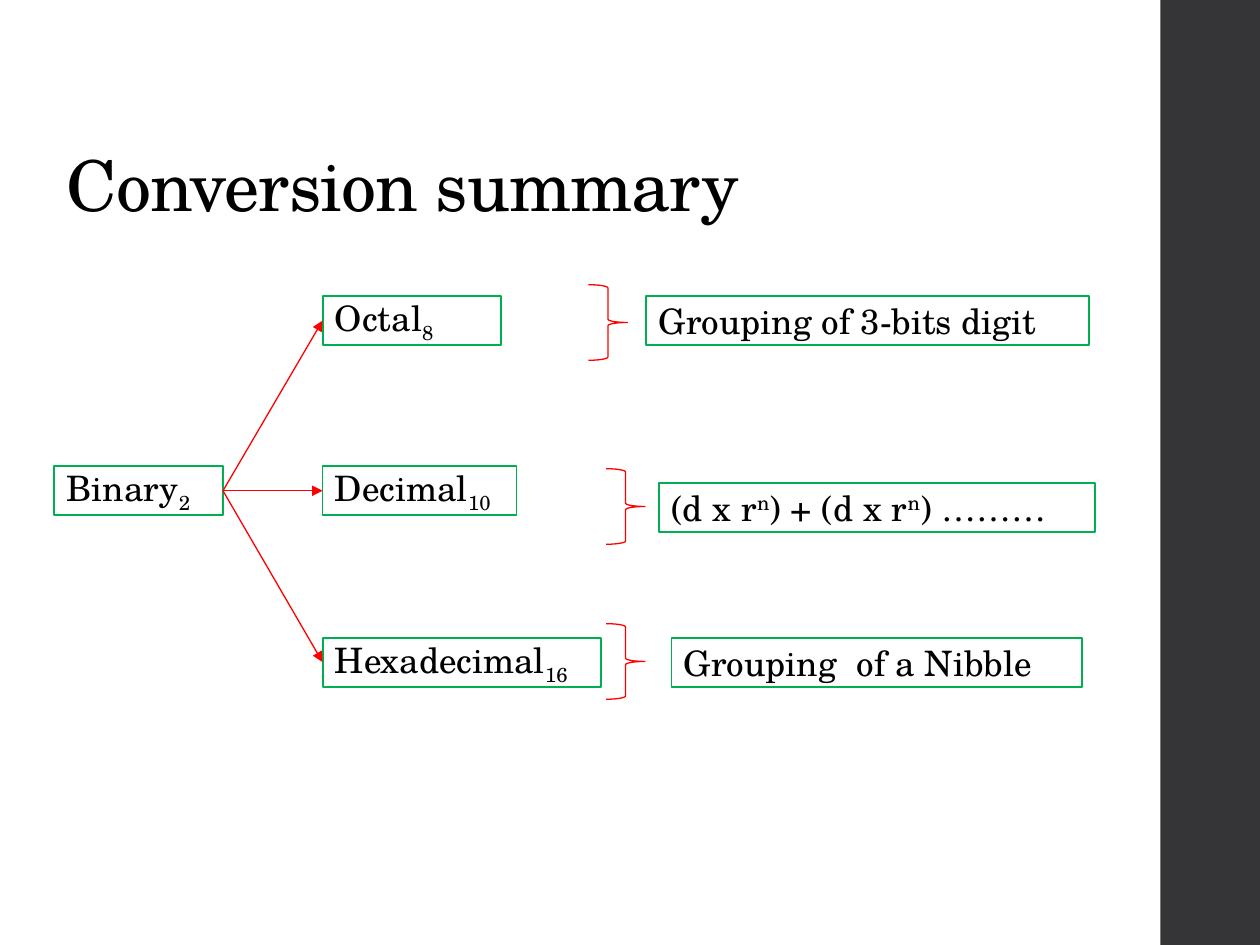
from typing import NamedTuple

import pptx
import pptx.dml.color
import pptx.enum.shapes
import pptx.enum.text
import pptx.oxml.ns
import pptx.util
from lxml import etree

Inches = pptx.util.Inches
Pt = pptx.util.Pt
MSO_SHAPE = pptx.enum.shapes.MSO_SHAPE
ANCHOR = pptx.enum.text.MSO_ANCHOR
ALIGN = pptx.enum.text.PP_ALIGN
qn = pptx.oxml.ns.qn

FONT = "TeX Gyre Schola"
BLACK, GREEN, RED, DARK = "000000", "00B050", "FF0000", "353537"
SUB, SUPER = -25, 30
BOX_H = 0.39
BRACE_W, BRACE_H = 0.31, 0.6


class Run(NamedTuple):
    text: str
    baseline: int = 0


class Box(NamedTuple):
    left: float
    top: float
    width: float
    runs: list[Run]

    @property
    def middle(self) -> float:
        return self.top + BOX_H / 2


class Conversion(NamedTuple):
    base: Box
    brace_left: float
    brace_top: float
    method: Box


def rgb(color: str) -> pptx.dml.color.RGBColor:
    return pptx.dml.color.RGBColor.from_string(color)


def style_font(p, size: float) -> None:
    p.font.name = FONT
    p.font.size = Pt(size)
    p.font.color.rgb = rgb(BLACK)


def add_outline(s, kind, left: float, top: float, width: float, height: float,
                color: str, weight: float):
    sp = s.shapes.add_shape(kind, Inches(left), Inches(top), Inches(width), Inches(height))
    sp.shadow.inherit = False
    sp.fill.background()
    sp.line.color.rgb = rgb(color)
    sp.line.width = Pt(weight)
    return sp


def add_box(s, box: Box) -> None:
    sp = add_outline(s, MSO_SHAPE.RECTANGLE, box.left, box.top, box.width, BOX_H, GREEN, 1.1)
    tf = sp.text_frame
    tf.word_wrap = True
    tf.vertical_anchor = ANCHOR.MIDDLE
    p = tf.paragraphs[0]
    p.alignment = ALIGN.LEFT
    style_font(p, 20)
    for text, baseline in box.runs:
        r = p.add_run()
        r.text = text
        r.font.color.rgb = rgb(BLACK)
        if baseline:
            r.font._element.set("baseline", str(baseline * 1000))


def add_arrow(s, start: Box, end: Box) -> None:
    line = s.shapes.add_connector(
        pptx.enum.shapes.MSO_CONNECTOR.STRAIGHT,
        Inches(start.left + start.width), Inches(start.middle),
        Inches(end.left), Inches(end.middle))
    line.line.color.rgb = rgb(RED)
    line.line.width = Pt(0.75)
    etree.SubElement(line.line._get_or_add_ln(), qn("a:tailEnd"), type="triangle")
    etree.SubElement(line._element.spPr, qn("a:effectLst"))


BINARY = Box(0.43, 3.7, 1.34, [Run("Binary"), Run("2", SUB)])
CONVERSIONS = [
    Conversion(Box(2.56, 2.35, 1.42, [Run("Octal"), Run("8", SUB)]), 4.67, 2.26,
               Box(5.13, 2.35, 3.51, [Run("Grouping of 3-bits digit")])),
    Conversion(Box(2.56, 3.7, 1.54, [Run("Decimal"), Run("10", SUB)]), 4.81, 3.72,
               Box(5.23, 3.83, 3.46, [Run("(d x r"), Run("n", SUPER), Run(") + (d x r"),
                                      Run("n", SUPER), Run(") ………")])),
    Conversion(Box(2.56, 5.06, 2.21, [Run("Hexadecimal"), Run("16", SUB)]), 4.81, 4.95,
               Box(5.33, 5.06, 3.26, [Run("Grouping  of a Nibble")])),
]


def main() -> None:
    prs = pptx.Presentation()
    prs.slide_width, prs.slide_height = Inches(10), Inches(7.5)
    s = prs.slides.add_slide(prs.slide_layouts[5])

    # Side band
    band = s.shapes.add_shape(MSO_SHAPE.RECTANGLE, Inches(9.21), 0, Inches(0.8), Inches(7.5))
    band.shadow.inherit = False
    band.fill.solid()
    band.fill.fore_color.rgb = rgb(DARK)
    band.line.fill.background()

    # Title
    title = s.shapes.title
    title.left, title.top = Inches(0.43), Inches(0.4)
    title.width, title.height = Inches(8.55), Inches(1.45)
    tf = title.text_frame
    tf.auto_size = pptx.enum.text.MSO_AUTO_SIZE.NONE
    tf.vertical_anchor = ANCHOR.BOTTOM
    p = tf.paragraphs[0]
    p.alignment = ALIGN.LEFT
    p.line_spacing = 0.9
    style_font(p, 40)
    r = p.add_run()
    r.text = "Conversion summary"
    r.font._element.set("spc", "-50")

    # Binary to each base, with its method
    add_box(s, BINARY)
    for conv in CONVERSIONS:
        add_box(s, conv.base)
        add_outline(s, MSO_SHAPE.RIGHT_BRACE, conv.brace_left, conv.brace_top,
                    BRACE_W, BRACE_H, RED, 0.75)
        add_box(s, conv.method)
        add_arrow(s, BINARY, conv.base)

    prs.save("out.pptx")


if __name__ == "__main__":
    main()
